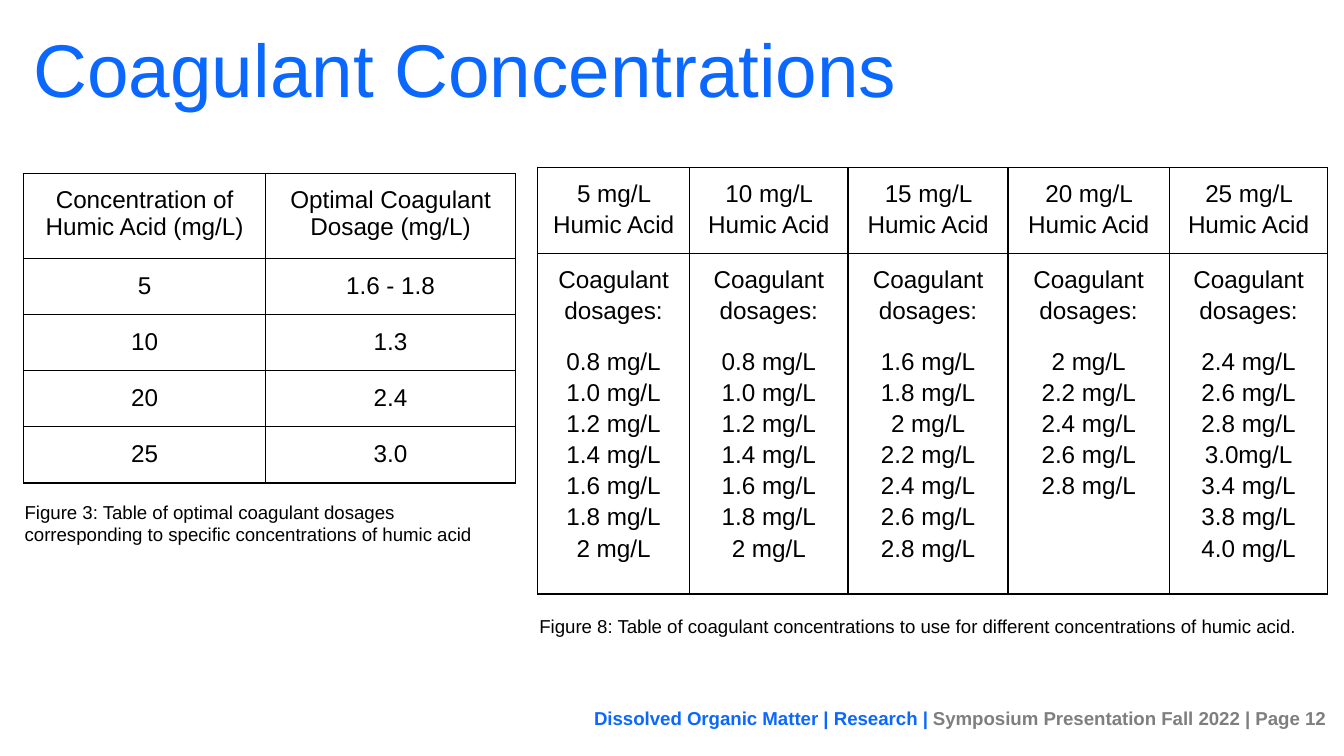
import pptx
import pptx.dml.color
import pptx.enum.text
import pptx.oxml
import pptx.oxml.ns
import pptx.util

PX = 4572
FONT = "Arial"
BLUE = pptx.dml.color.RGBColor(0x0B, 0x68, 0xFF)
GRAY = pptx.dml.color.RGBColor(0x7F, 0x7F, 0x7F)
BLACK = pptx.dml.color.RGBColor(0, 0, 0)
LEFT = pptx.enum.text.PP_ALIGN.LEFT
CENTER = pptx.enum.text.PP_ALIGN.CENTER
RIGHT = pptx.enum.text.PP_ALIGN.RIGHT

OPTIMAL_ROWS = [
    ["Concentration of Humic Acid (mg/L)", "Optimal Coagulant Dosage (mg/L)"],
    ["5", "1.6 - 1.8"],
    ["10", "1.3"],
    ["20", "2.4"],
    ["25", "3.0"],
]
LOW_DOSAGES = ["0.8 mg/L", "1.0 mg/L", "1.2 mg/L", "1.4 mg/L", "1.6 mg/L", "1.8 mg/L", "2 mg/L"]
DOSAGES = {
    "5 mg/L": LOW_DOSAGES,
    "10 mg/L": LOW_DOSAGES,
    "15 mg/L": ["1.6 mg/L", "1.8 mg/L", "2 mg/L", "2.2 mg/L", "2.4 mg/L", "2.6 mg/L", "2.8 mg/L"],
    "20 mg/L": ["2 mg/L", "2.2 mg/L", "2.4 mg/L", "2.6 mg/L", "2.8 mg/L"],
    "25 mg/L": ["2.4 mg/L", "2.6 mg/L", "2.8 mg/L", "3.0mg/L", "3.4 mg/L", "3.8 mg/L", "4.0 mg/L"],
}


def px(value):
    return pptx.util.Emu(value * PX)


def format_run(run, size, color, bold=False):
    run.font.name = FONT
    run.font.size = pptx.util.Pt(size)
    run.font.bold = bold
    run.font.color.rgb = color


def set_margins(target, horizontal, vertical):
    target.margin_left = target.margin_right = px(horizontal)
    target.margin_top = target.margin_bottom = px(vertical)


def add_title(slide, text, left, top, width, height):
    title = slide.shapes.title
    title.left, title.top, title.width, title.height = map(px, (left, top, width, height))
    frame = title.text_frame
    frame.text = text
    frame.word_wrap = True
    frame.auto_size = pptx.enum.text.MSO_AUTO_SIZE.NONE
    frame.vertical_anchor = pptx.enum.text.MSO_ANCHOR.BOTTOM
    set_margins(frame, 26, 26)
    frame.paragraphs[0].alignment = LEFT
    format_run(frame.paragraphs[0].runs[0], 40, BLUE)


def add_text(slide, parts, left, top, width, height, vertical=20, alignment=LEFT, bold=False):
    frame = slide.shapes.add_textbox(*map(px, (left, top, width, height))).text_frame
    frame.word_wrap = True
    set_margins(frame, 20, vertical)
    paragraph = frame.paragraphs[0]
    paragraph.alignment = alignment
    for text, color in parts:
        run = paragraph.add_run()
        run.text = text
        format_run(run, 10, color, bold)


def add_borders(cell):
    properties = cell._tc.get_or_add_tcPr()
    for index, side in enumerate(("lnL", "lnR", "lnT", "lnB")):
        border = pptx.oxml.parse_xml(
            f'<a:{side} {pptx.oxml.ns.nsdecls("a")} w="{pptx.util.Pt(0.75)}">'
            f'<a:solidFill><a:srgbClr val="{BLACK}"/></a:solidFill></a:{side}>'
        )
        properties.insert(index, border)


def fill_cell(cell, text, margin, line_spacing):
    cell.text_frame.text = text
    set_margins(cell, margin, margin)
    cell.fill.background()
    add_borders(cell)
    for index, paragraph in enumerate(cell.text_frame.paragraphs):
        paragraph.alignment = CENTER
        paragraph.line_spacing = line_spacing
        if index == 1:
            paragraph.space_before = pptx.util.Pt(10.5)
        format_run(paragraph.runs[0], 13, BLACK)


def add_table(slide, rows, left, top, widths, heights, margin, line_spacing):
    frame = slide.shapes.add_table(
        len(rows), len(widths), px(left), px(top), px(sum(widths)), px(sum(heights))
    )
    table = frame.table
    table.first_row = False
    table.horz_banding = False
    for column, width in zip(table.columns, widths):
        column.width = px(width)
    for row, height, texts in zip(table.rows, heights, rows):
        row.height = px(height)
        for cell, text in zip(row.cells, texts):
            fill_cell(cell, text, margin, line_spacing)


def main():
    presentation = pptx.Presentation()
    presentation.slide_width = px(2000)
    presentation.slide_height = px(1125)
    slide = presentation.slides.add_slide(presentation.slide_layouts[5])

    add_title(slide, "Coagulant Concentrations", 24, 58, 1380, 136)
    add_text(
        slide,
        [("Figure 8: Table of coagulant concentrations to use for different "
          "concentrations of humic acid.", BLACK)],
        783, 898, 1200, 74,
    )
    add_text(
        slide,
        [("Dissolved Organic Matter | Research | ", BLUE),
         ("Symposium Presentation Fall 2022 | Page 12 ", GRAY)],
        844, 1042, 1156, 84, vertical=10, alignment=RIGHT, bold=True,
    )
    dosage_rows = [
        [f"{concentration} Humic Acid" for concentration in DOSAGES],
        ["\n".join(["Coagulant dosages:", *dosages]) for dosages in DOSAGES.values()],
    ]
    add_table(slide, dosage_rows, 800, 249, [226, 236, 238, 240, 236], [128, 507], 14, 1.15)
    add_table(slide, OPTIMAL_ROWS, 35, 258, [360, 372], [126] + [83] * 4, 20, 1.0)
    add_text(
        slide,
        [("Figure 3: Table of optimal coagulant dosages corresponding to "
          "specific concentrations of humic acid", BLACK)],
        17, 725, 768, 108,
    )
    presentation.save("out.pptx")


if __name__ == "__main__":
    main()
